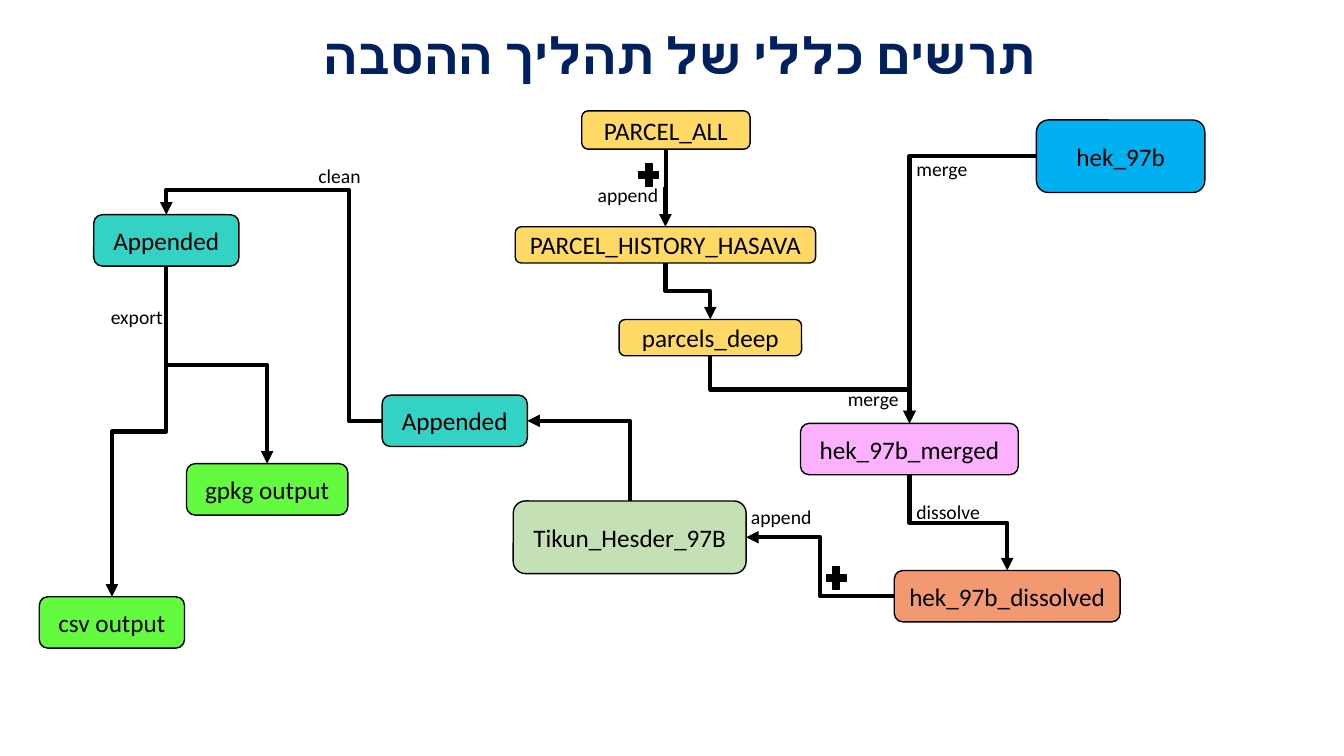
from dataclasses import dataclass

from lxml import etree
from pptx import Presentation
from pptx.dml.color import RGBColor
from pptx.enum.shapes import MSO_CONNECTOR, MSO_SHAPE
from pptx.enum.text import MSO_ANCHOR, MSO_AUTO_SIZE, PP_ALIGN
from pptx.oxml.ns import qn
from pptx.util import Inches, Pt

ROUNDED, PLUS = MSO_SHAPE.ROUNDED_RECTANGLE, MSO_SHAPE.MATH_PLUS
ELBOW = MSO_CONNECTOR.ELBOW
CENTER, LEFT = PP_ALIGN.CENTER, PP_ALIGN.LEFT
MIDDLE, TOP_ANCHOR = MSO_ANCHOR.MIDDLE, MSO_ANCHOR.TOP
GROW = MSO_AUTO_SIZE.SHAPE_TO_FIT_TEXT

SLIDE_WIDTH, SLIDE_HEIGHT = Inches(13.33), Inches(7.5)
COLUMNS, ROWS = 133.3, 75
TOP, WEST, BOTTOM, EAST = range(4)


@dataclass(frozen=True)
class Theme:
    font: str = "Calibri"
    ink: str = "000000"
    title: str = "002060"
    parcel: str = "FFD966"
    hek: str = "00B0F0"
    merged: str = "FBB1FD"
    dissolved: str = "F39971"
    tikun: str = "C5E0B4"
    appended: str = "33D2C5"
    output: str = "63FA40"
    title_size: int = 36
    node_size: int = 18
    label_size: int = 14
    outline: int = 1
    flow: int = 3


THEME = Theme()

TITLE = "תרשים כללי של תהליך ההסבה"

NODES = {
    "parcel_all": ("PARCEL_ALL", THEME.parcel, 57.7, 11, 16.7, 3.8),
    "history": ("PARCEL_HISTORY_HASAVA", THEME.parcel, 51.1, 22.5, 29.8, 3.6),
    "deep": ("parcels_deep", THEME.parcel, 61.4, 31.7, 18.1, 3.6),
    "hek": ("hek_97b", THEME.hek, 102.8, 11.9, 16.7, 7.2),
    "merged": ("hek_97b_merged", THEME.merged, 79.4, 42, 21.6, 5.1),
    "dissolved": ("hek_97b_dissolved", THEME.dissolved, 88.7, 56.6, 22.4, 5.1),
    "tikun": ("Tikun_Hesder_97B", THEME.tikun, 50.9, 49.7, 23.1, 7.2),
    "appended": ("Appended", THEME.appended, 37.9, 39.2, 14.4, 5.1),
    "cleaned": ("Appended", THEME.appended, 9.3, 21.3, 14.4, 5.1),
    "csv": ("csv output", THEME.output, 3.9, 59.2, 14.4, 5.1),
    "gpkg": ("gpkg output", THEME.output, 18.5, 46, 16, 5.1),
}

FLOWS = [
    ("parcel_all", BOTTOM, "history", TOP, 3),
    ("history", BOTTOM, "deep", TOP, 3),
    ("deep", BOTTOM, "merged", TOP, 3),
    ("hek", WEST, "merged", TOP, 2),
    ("merged", BOTTOM, "dissolved", TOP, 3),
    ("dissolved", WEST, "tikun", EAST, 3),
    ("tikun", TOP, "appended", EAST, 2),
    ("appended", WEST, "cleaned", TOP, 4),
    ("cleaned", BOTTOM, "csv", TOP, 3),
    ("cleaned", BOTTOM, "gpkg", TOP, 3),
]

BENDS = {2: [], 3: [50000], 4: [15500, 112200]}

TURNS = {
    (BOTTOM, WEST): (90, 0, 0),
    (BOTTOM, EAST): (270, 1, 0),
    (WEST, BOTTOM): (180, 0, 1),
    (WEST, TOP): (180, 0, 0),
    (TOP, WEST): (270, 0, 1),
}

LABELS = [
    ("append", 58.3, 17.7, 8.1),
    ("merge", 89.9, 15.1, 7.1),
    ("merge", 83.1, 37.9, 7.1),
    ("dissolve", 89.9, 49.1, 8.4),
    ("clean", 30.6, 15.8, 6.3),
    ("export", 10, 29.8, 7.2),
    ("append", 73.5, 49.6, 8.1),
]

PLUSES = [(63, 15.8), (81.6, 55.8)]


def place(box, column, row, columns, rows):
    left, top, width, height = box
    return (
        int(left + width * column / COLUMNS),
        int(top + height * row / ROWS),
        int(width * columns / COLUMNS),
        int(height * rows / ROWS),
    )


def apply(target, formats):
    for name, value in formats.items():
        setattr(target, name, value)


def write(shape, text, size, color, bold=False, align=LEFT, **frame_formats):
    apply(shape.text_frame, frame_formats)
    paragraph = shape.text_frame.paragraphs[0]
    paragraph.alignment = align
    run = paragraph.add_run()
    run.text = text
    apply(run.font, {"name": THEME.font, "size": Pt(size), "bold": bold})
    run.font.color.rgb = RGBColor.from_string(color)
    return paragraph


def paint(shape, fill):
    shape.shadow.inherit = False
    shape.fill.solid()
    shape.fill.fore_color.rgb = RGBColor.from_string(fill)
    shape.line.color.rgb = RGBColor.from_string(THEME.ink)
    shape.line.width = Pt(THEME.outline)


def add_title(slide, box):
    heading = slide.shapes.add_textbox(*place(box, 11.5, 3.2, 111.8, 5.1))
    paragraph = write(heading, TITLE, THEME.title_size, THEME.title, True, CENTER,
                      word_wrap=True, vertical_anchor=MIDDLE)
    paragraph.line_spacing = 0.9
    paragraph._p.get_or_add_pPr().set("rtl", "1")
    run_format = paragraph.runs[0]._r.get_or_add_rPr()
    etree.SubElement(run_format, qn("a:cs"), typeface=THEME.font)


def add_node(slide, box, text, fill, *cells):
    node = slide.shapes.add_shape(ROUNDED, *place(box, *cells))
    paint(node, fill)
    write(node, text, THEME.node_size, THEME.ink, align=CENTER,
          word_wrap=True, vertical_anchor=MIDDLE)
    return node


def site_point(node, site):
    across = {WEST: 0, EAST: node.width}.get(site, node.width // 2)
    down = {TOP: 0, BOTTOM: node.height}.get(site, node.height // 2)
    return node.left + across, node.top + down


def add_flow(slide, source, source_site, target, target_site, segments):
    x1, y1 = site_point(source, source_site)
    x2, y2 = site_point(target, target_site)
    width, height = abs(x2 - x1), abs(y2 - y1)
    if source_site in (TOP, BOTTOM):
        width, height = height, width
        turn = EAST if x2 > x1 else WEST
    else:
        turn = BOTTOM if y2 > y1 else TOP
    rotation, flip_h, flip_v = TURNS[source_site, turn]

    flow = slide.shapes.add_connector(ELBOW, x1, y1, x2, y2)
    flow.begin_connect(source, source_site)
    flow.end_connect(target, target_site)
    apply(flow, {"left": (x1 + x2 - width) // 2, "top": (y1 + y2 - height) // 2,
                 "width": width, "height": height})
    flow.line.color.rgb = RGBColor.from_string(THEME.ink)
    flow.line.width = Pt(THEME.flow)

    properties = flow._element.spPr
    transform = properties.find(qn("a:xfrm"))
    for name, value in {"rot": rotation * 60000, "flipH": flip_h, "flipV": flip_v}.items():
        transform.set(name, str(value))
    geometry = properties.find(qn("a:prstGeom"))
    geometry.set("prst", f"bentConnector{segments}")
    guides = geometry.find(qn("a:avLst"))
    for number, bend in enumerate(BENDS[segments], 1):
        etree.SubElement(guides, qn("a:gd"), name=f"adj{number}", fmla=f"val {bend}")
    etree.SubElement(flow.line._get_or_add_ln(), qn("a:tailEnd"), type="triangle")
    etree.SubElement(properties, qn("a:effectLst"))


def add_label(slide, box, text, column, row, columns):
    label = slide.shapes.add_textbox(*place(box, column, row, columns, 3.4))
    write(label, text, THEME.label_size, THEME.ink,
          word_wrap=False, auto_size=GROW, vertical_anchor=TOP_ANCHOR)


def add_diagram(slide, box):
    nodes = {key: add_node(slide, box, *node) for key, node in NODES.items()}
    for source, source_site, target, target_site, segments in FLOWS:
        add_flow(slide, nodes[source], source_site, nodes[target], target_site, segments)
    for label in LABELS:
        add_label(slide, box, *label)
    for column, row in PLUSES:
        plus = slide.shapes.add_shape(PLUS, *place(box, column, row, 2.7, 3.1))
        paint(plus, THEME.ink)


def main():
    deck = Presentation()
    apply(deck, {"slide_width": SLIDE_WIDTH, "slide_height": SLIDE_HEIGHT})
    slide = deck.slides.add_slide(deck.slide_layouts[6])
    box = (0, 0, SLIDE_WIDTH, SLIDE_HEIGHT)
    add_title(slide, box)
    add_diagram(slide, box)
    deck.save("out.pptx")


if __name__ == "__main__":
    main()
